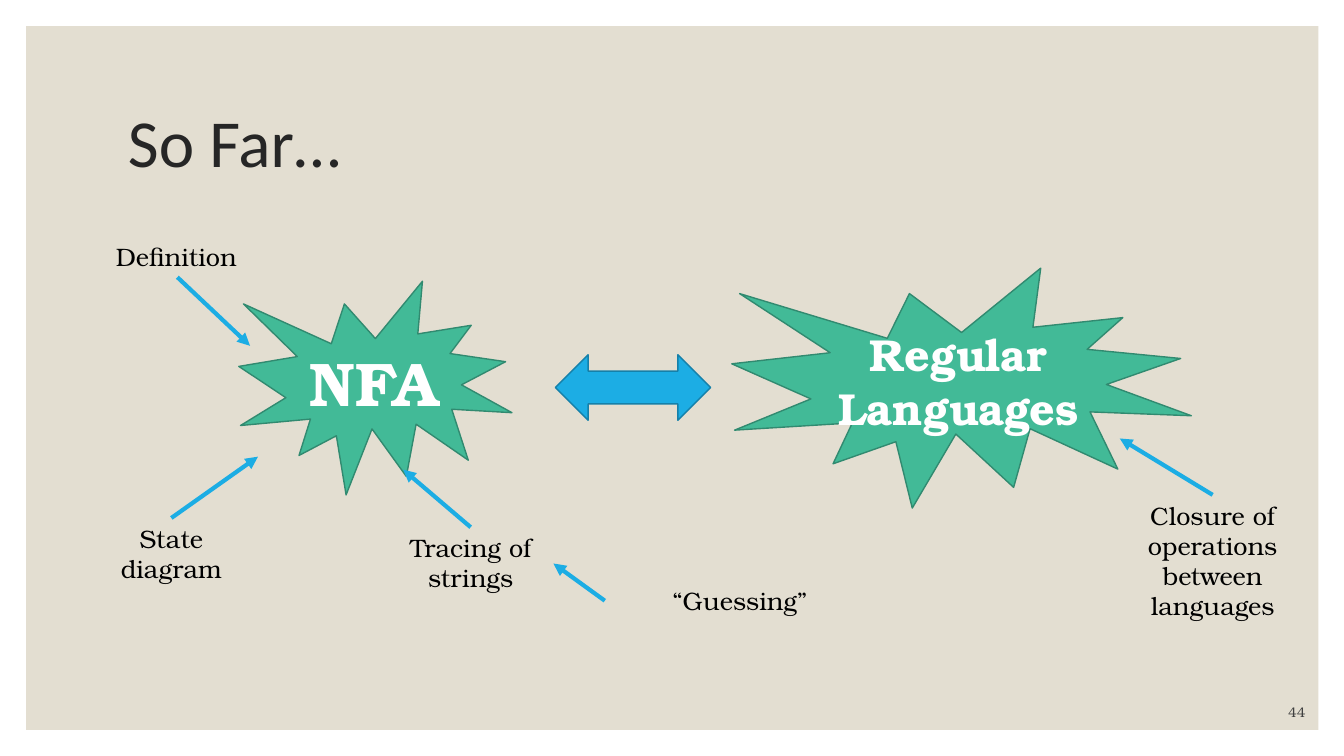
from dataclasses import dataclass

from lxml.etree import SubElement
from pptx import Presentation
from pptx.dml.color import RGBColor
from pptx.enum.shapes import MSO_CONNECTOR, MSO_SHAPE
from pptx.enum.text import MSO_ANCHOR as Anchor, MSO_AUTO_SIZE as AutoSize, PP_ALIGN as Align
from pptx.oxml.ns import qn
from pptx.slide import Slide
from pptx.util import Pt

BEIGE = RGBColor(0xE3, 0xDE, 0xD1)
GREEN = RGBColor(0x42, 0xBA, 0x97)
DARK_GREEN = RGBColor(0x31, 0x8A, 0x70)
BLUE = RGBColor(0x1C, 0xAD, 0xE4)
DARK_BLUE = RGBColor(0x15, 0x80, 0xA9)
BLACK = RGBColor(0, 0, 0)
WHITE = RGBColor(0xFF, 0xFF, 0xFF)
TITLE_GRAY = RGBColor(0x26, 0x26, 0x26)
NUMBER_GRAY = RGBColor(0x40, 0x40, 0x40)
SERIF = "TeX Gyre Bonum"

Place = tuple[float, float, float, float]


@dataclass
class Label:
    text: str
    place: Place
    align: Align = Align.CENTER
    anchor: Anchor = Anchor.TOP
    size: float = 18
    color: RGBColor = BLACK


@dataclass
class Figure:
    kind: MSO_SHAPE
    place: Place
    fill: RGBColor
    outline: RGBColor | None = None
    text: str = ""
    size: float = 18
    inset: bool = True


LABELS = [
    Label("Definition", (75.6, 168.5, 102.2, 28.8), Align.LEFT),
    Label("State diagram", (71.3, 370, 102.2, 51)),
    Label("Tracing of strings", (277.2, 376.6, 118, 51)),
    Label("Closure of operations between languages", (806.4, 353.5, 119.5, 94.3)),
    Label("“Guessing”", (432, 414.7, 193, 28.8)),
    Label("44", (824.4, 496.8, 115.2, 21.6), Align.RIGHT, Anchor.BOTTOM, 10, NUMBER_GRAY),
]
PANEL = Figure(MSO_SHAPE.RECTANGLE, (18.7, 18.7, 923, 502.6), BEIGE)
FIGURES = [
    Figure(MSO_SHAPE.EXPLOSION1, (170.6, 200.9, 195.1, 152.6), GREEN, DARK_GREEN, "NFA", 44),
    Figure(MSO_SHAPE.EXPLOSION1, (522.7, 191.5, 328.3, 171.4), GREEN, DARK_GREEN,
           "Regular Languages", 32, inset=False),
    Figure(MSO_SHAPE.LEFT_RIGHT_ARROW, (396.7, 253.4, 110.9, 46.8), BLUE, DARK_BLUE),
]
ARROWS: list[Place] = [
    (126.7, 198, 178.6, 247),
    (122.4, 370, 184.3, 326.2),
    (336.2, 376.6, 288, 335.5),
    (866.2, 353.5, 799.9, 313.2),
    (432, 429.1, 395.3, 402.5),
]


def apply(target, formats: dict) -> None:
    for name, value in formats.items():
        setattr(target, name, value)


def write(frame, text: str, align: Align, anchor: Anchor, color: RGBColor, font: dict) -> None:
    apply(frame, {"word_wrap": True, "auto_size": AutoSize.NONE, "vertical_anchor": anchor})
    para = frame.paragraphs[0]
    para.alignment = align
    span = para.add_run()
    span.text = text
    apply(span.font, font)
    span.font.color.rgb = color


def add_label(page: Slide, label: Label) -> None:
    box = page.shapes.add_textbox(*map(Pt, label.place))
    write(box.text_frame, label.text, label.align, label.anchor, label.color,
          {"name": SERIF, "size": Pt(label.size)})


def add_figure(page: Slide, figure: Figure):
    shape = page.shapes.add_shape(figure.kind, *map(Pt, figure.place))
    shape.shadow.inherit = False
    shape.fill.solid()
    shape.fill.fore_color.rgb = figure.fill
    if figure.outline is None:
        shape.line.fill.background()
    else:
        shape.line.color.rgb = figure.outline
        shape.line.width = Pt(1)
    if not figure.inset:
        sides = ("left", "top", "right", "bottom")
        apply(shape.text_frame, {f"margin_{side}": 0 for side in sides})
    if figure.text:
        write(shape.text_frame, figure.text, Align.CENTER, Anchor.MIDDLE, WHITE,
              {"name": SERIF, "size": Pt(figure.size), "bold": True})
    return shape


def add_arrow(page: Slide, ends: Place) -> None:
    arrow = page.shapes.add_connector(MSO_CONNECTOR.STRAIGHT, *map(Pt, ends))
    arrow.line.color.rgb = BLUE
    arrow.line.width = Pt(3)
    properties = arrow.element.spPr
    SubElement(properties.find(qn("a:ln")), qn("a:tailEnd"), type="triangle")
    SubElement(properties, qn("a:effectLst"))


def add_title(page: Slide, text: str) -> None:
    title = page.shapes.title
    apply(title, {"left": Pt(84.2), "top": Pt(50.4), "width": Pt(792), "height": Pt(108)})
    write(title.text_frame, text, Align.LEFT, Anchor.MIDDLE, TITLE_GRAY,
          {"name": "Calibri", "size": Pt(48)})
    title.text_frame.paragraphs[0].line_spacing = 0.9


def main() -> None:
    deck = Presentation()
    apply(deck, {"slide_width": Pt(960), "slide_height": Pt(540)})
    page = deck.slides.add_slide(deck.slide_layouts.get_by_name("Title Only"))
    add_title(page, "So Far…")
    panel = add_figure(page, PANEL)
    page.shapes.title.element.addprevious(panel.element)
    for label in LABELS:
        add_label(page, label)
    for figure in FIGURES:
        add_figure(page, figure)
    for ends in ARROWS:
        add_arrow(page, ends)
    deck.save("out.pptx")


if __name__ == "__main__":
    main()
